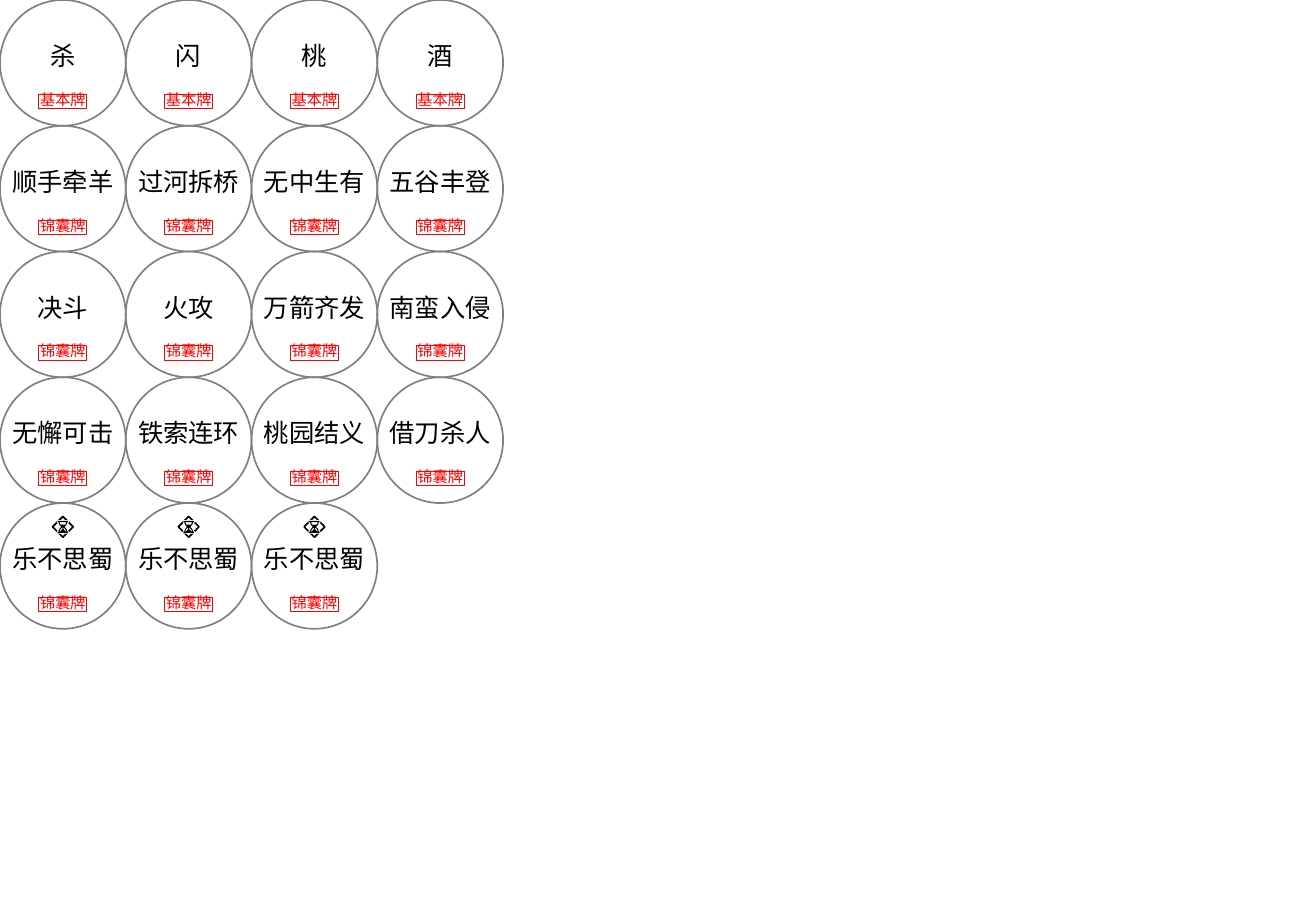
from dataclasses import dataclass

from lxml import etree
from pptx import Presentation
from pptx import util as u
from pptx.dml import color
from pptx.enum import shapes, text
from pptx.oxml import ns

FONT = "Noto Sans CJK SC"
PITCH = 74.55
COLS = 4
GREY, RED, BLACK, WHITE = "808080", "FF0000", "000000", "FFFFFF"

NAMES = [
    "杀", "闪", "桃", "酒",
    "顺手牵羊", "过河拆桥", "无中生有", "五谷丰登",
    "决斗", "火攻", "万箭齐发", "南蛮入侵",
    "无懈可击", "铁索连环", "桃园结义", "借刀杀人",
    "乐不思蜀", "乐不思蜀", "乐不思蜀",
]
BASIC = NAMES[:4]
DELAY = ["乐不思蜀"]

# Hourglass contours in points around the centre
HALF = [(3.1, -3.5), (3.1, -2.8), (2.6, -2.8), (2.2, -1.4), (1, 0),
        (2.2, 1.4), (2.6, 2.8), (3.1, 2.8), (3.1, 3.5)]
LEG = [(0.6, 0.6), (0.3, 0.3), (0.3, 1.3), (1.6, 2.8), (2, 2.8), (1.5, 1.4)]
TOP = [(2, -2.8), (1.5, -1.4), (-1.5, -1.4), (-2, -2.8)]


def flip(dots: list) -> list:
    """Mirror left to right, reversing the order of the points."""
    return [(-x, y) for x, y in reversed(dots)]


GLASS = [HALF + flip(HALF), TOP, LEG, flip(LEG)]


@dataclass
class Card:
    name: str
    kind: str
    left: float
    top: float
    delay: bool

    @property
    def mid(self) -> float:
        return self.left + PITCH / 2


@dataclass
class Line:
    drop: float
    high: float
    size: float
    tint: str


NAME = Line(20.3, 25.2, 15, BLACK)
KIND = Line(49.8, 18, 9, RED)


def rgb(code: str) -> color.RGBColor:
    return color.RGBColor.from_string(code)


def style(shape, fill: str = "", line: str = "", width: float = 1) -> None:
    shape.shadow.inherit = False
    if fill:
        shape.fill.solid()
        shape.fill.fore_color.rgb = rgb(fill)
    else:
        shape.fill.background()
    if line:
        shape.line.color.rgb = rgb(line)
        shape.line.width = u.Pt(width)
    else:
        shape.line.fill.background()


def add_box(tree, kind, left: float, top: float, wide: float, high: float,
            line: str, width: float = 1):
    box = tree.add_shape(kind, u.Pt(left), u.Pt(top), u.Pt(wide), u.Pt(high))
    style(box, line=line, width=width)
    return box


def add_text(tree, card: Card, words: str, line: Line) -> None:
    box = tree.add_textbox(u.Pt(card.left), u.Pt(card.top + line.drop),
                           u.Pt(PITCH), u.Pt(line.high))
    frame = box.text_frame
    form = {"word_wrap": True, "margin_left": 0, "margin_right": 0,
            "vertical_anchor": text.MSO_ANCHOR.MIDDLE,
            "auto_size": text.MSO_AUTO_SIZE.SHAPE_TO_FIT_TEXT}
    for key, val in form.items():
        setattr(frame, key, val)
    para = frame.paragraphs[0]
    para.alignment = text.PP_ALIGN.CENTER
    run = para.add_run()
    run.text = words
    for key, val in {"name": FONT, "size": u.Pt(line.size)}.items():
        setattr(run.font, key, val)
    run.font.color.rgb = rgb(line.tint)
    east = etree.SubElement(run._r.get_or_add_rPr(), ns.qn("a:ea"))
    east.set("typeface", FONT)


def add_glass(tree, x: float, y: float, fill: str, line: str = "") -> None:
    parts = [[(round(a * 100), round(b * 100)) for a, b in part]
             for part in GLASS]
    pen = tree.build_freeform(*parts[0][0], scale=u.Pt(1) / 100)
    pen.add_line_segments(parts[0][1:])
    for part in parts[1:]:
        pen.move_to(*part[0])
        pen.add_line_segments(part[1:])
    style(pen.convert_to_shape(u.Pt(x), u.Pt(y)), fill, line)


def add_mark(tree, card: Card) -> None:
    """Hourglass in a diamond, the sign of a delayed card."""
    group = tree.add_group_shape().shapes
    side, y = 8.7, card.top + 14.1
    gem = add_box(group, shapes.MSO_SHAPE.RECTANGLE, card.mid - side / 2,
                  y - side / 2, side, side, BLACK)
    gem.rotation = 45
    add_glass(group, card.mid, y, WHITE, WHITE)
    add_glass(group, card.mid, y, BLACK)


def main() -> None:
    deck = Presentation()
    deck.slide_width, deck.slide_height = u.Pt(780), u.Pt(540)
    tree = deck.slides.add_slide(deck.slide_layouts[6]).shapes
    cards = [Card(name, "基本牌" if name in BASIC else "锦囊牌",
                  i % COLS * PITCH, i // COLS * PITCH, name in DELAY)
             for i, name in enumerate(NAMES)]

    rings = tree.add_group_shape().shapes
    for card in cards:
        add_box(rings, shapes.MSO_SHAPE.OVAL, card.left, card.top,
                PITCH, PITCH, GREY)
    for card in cards:
        add_text(tree, card, card.name, NAME)
        add_text(tree, card, card.kind, KIND)
        if card.delay:
            add_mark(tree, card)
        add_box(tree, shapes.MSO_SHAPE.RECTANGLE, card.mid - 14.2,
                card.top + 55.9, 28.4, 8.5, RED, 0.5)
    deck.save("out.pptx")


if __name__ == "__main__":
    main()
